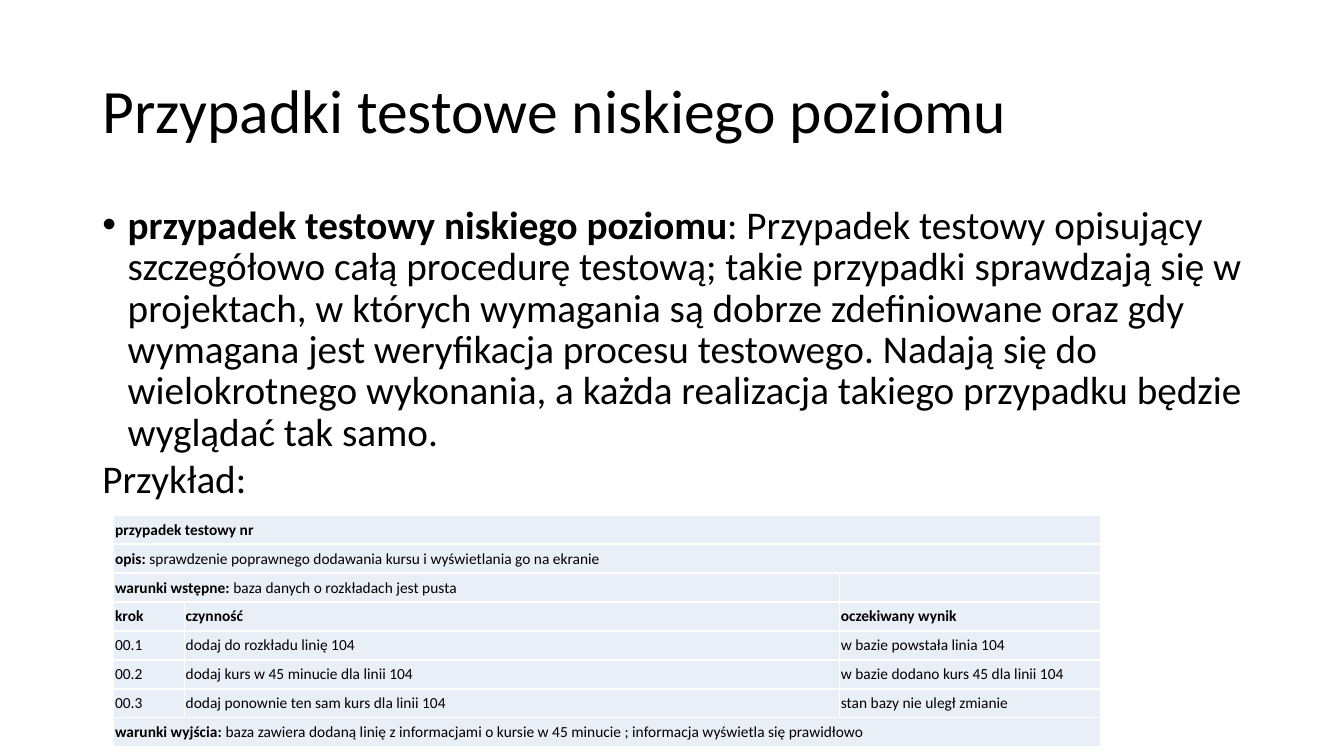
from pptx import Presentation
from pptx.dml.color import RGBColor as Rgb
from pptx.enum.text import MSO_ANCHOR as Anchor
from pptx.util import Cm, Pt
from lxml.etree import SubElement as Sub
from pptx.oxml import parse_xml
from pptx.oxml.ns import nsdecls, qn

INK = {"text": "000000", "cell": "E9EFF7", "rule": "FFFFFF"}
FONT = "Calibri"
HEAD = "Przypadki testowe niskiego poziomu"
BODY = [
    [("przypadek testowy niskiego poziomu", True),
     (": Przypadek testowy opisujący szczegółowo całą procedurę testową; "
      "takie przypadki sprawdzają się w projektach, w których wymagania są "
      "dobrze zdefiniowane oraz gdy wymagana jest weryfikacja procesu "
      "testowego. Nadają się do wielokrotnego wykonania, a każda realizacja "
      "takiego przypadku będzie wyglądać tak samo.", False)],
    [("Przykład:", False)],
]
WIDTHS = [1.78, 16.51, 6.58]
ROWS = [
    [(3, [("przypadek testowy nr", True)])],
    [(3, [("opis: ", True),
          ("sprawdzenie poprawnego dodawania kursu i wyświetlania go na ekranie",
           False)])],
    [(2, [("warunki wstępne: ", True),
          ("baza danych o rozkładach jest pusta", False)]),
     (1, [])],
    [(1, [(word, True)]) for word in ("krok", "czynność", "oczekiwany wynik")],
    *[[(1, [(word, False)]) for word in step] for step in (
        ("00.1", "dodaj do rozkładu linię 104", "w bazie powstała linia 104"),
        ("00.2", "dodaj kurs w 45 minucie dla linii 104",
         "w bazie dodano kurs 45 dla linii 104"),
        ("00.3", "dodaj ponownie ten sam kurs dla linii 104",
         "stan bazy nie uległ zmianie"),
    )],
    [(3, [("warunki wyjścia: ", True),
          ("baza zawiera dodaną linię z informacjami o kursie w 45 minucie ; "
           "informacja wyświetla się prawidłowo", False)])],
]


class Page:
    def __init__(self, deck):
        self.slide = deck.slides.add_slide(deck.slide_layouts[6])

    def words(self, para, runs, size):
        for text, bold in runs:
            run = para.add_run()
            run.text = text
            font = run.font
            font.name, font.size, font.bold = FONT, Pt(size), bold
            font.color.rgb = Rgb.from_string(INK["text"])
        if not runs:
            Sub(para._p, qn("a:endParaRPr"), sz=str(size * 100))

    def bullet(self, para):
        props = para._p.get_or_add_pPr()
        props.set("marL", str(Cm(0.64)))
        props.set("indent", str(Cm(-0.64)))
        Sub(Sub(props, qn("a:buClr")), qn("a:srgbClr"), val=INK["text"])
        Sub(props, qn("a:buFont"), typeface="Arial")
        Sub(props, qn("a:buChar"), char="•")

    def text(self, box, paras, size, line, anchor=Anchor.TOP, dots=()):
        frame = self.slide.shapes.add_textbox(*map(Cm, box)).text_frame
        frame.word_wrap = True
        frame.vertical_anchor = anchor
        frame.margin_right = 0
        for at, runs in enumerate(paras):
            para = frame.add_paragraph() if at else frame.paragraphs[0]
            if at in dots:
                self.bullet(para)
            para.line_spacing = line
            para.space_before = Pt(4 if at else 0)
            self.words(para, runs, size)

    def style(self, cell):
        cell.margin_left = cell.margin_right = Cm(0.03)
        cell.margin_top = cell.margin_bottom = Cm(0.13)
        cell.fill.solid()
        cell.fill.fore_color.rgb = Rgb.from_string(INK["cell"])
        props = cell._tc.get_or_add_tcPr()
        for at, side in enumerate("LRTB"):
            props.insert(at, parse_xml(
                f'<a:ln{side} {nsdecls("a")} w="{Pt(0.96)}"><a:solidFill>'
                f'<a:srgbClr val="{INK["rule"]}"/></a:solidFill></a:ln{side}>'))

    def table(self, left, top, widths, rows, pitch, size):
        box = map(Cm, (left, top, sum(widths), pitch * len(rows)))
        grid = self.slide.shapes.add_table(len(rows), len(widths), *box).table
        grid.first_row = grid.horz_banding = False
        for col, width in zip(grid.columns, widths):
            col.width = Cm(width)
        for cell in grid.iter_cells():
            self.style(cell)
        for y, row in enumerate(rows):
            grid.rows[y].height = Cm(pitch)
            x = 0
            for span, runs in row:
                cell = grid.cell(y, x)
                if span > 1:
                    cell.merge(grid.cell(y, x + span - 1))
                self.words(cell.text_frame.paragraphs[0], runs, size)
                x += span


def main():
    deck = Presentation()
    deck.slide_width, deck.slide_height = Cm(33.87), Cm(19.05)
    page = Page(deck)
    page.text((2.33, 1.01, 29.21, 3.68), [[(HEAD, False)]], 44, 0.9,
              Anchor.MIDDLE)
    page.text((2.33, 5.07, 29.21, 12.09), BODY, 28, 0.88, dots=(0,))
    page.table(2.87, 12.98, WIDTHS, ROWS, 0.73, 11)
    deck.save("out.pptx")


if __name__ == "__main__":
    main()
